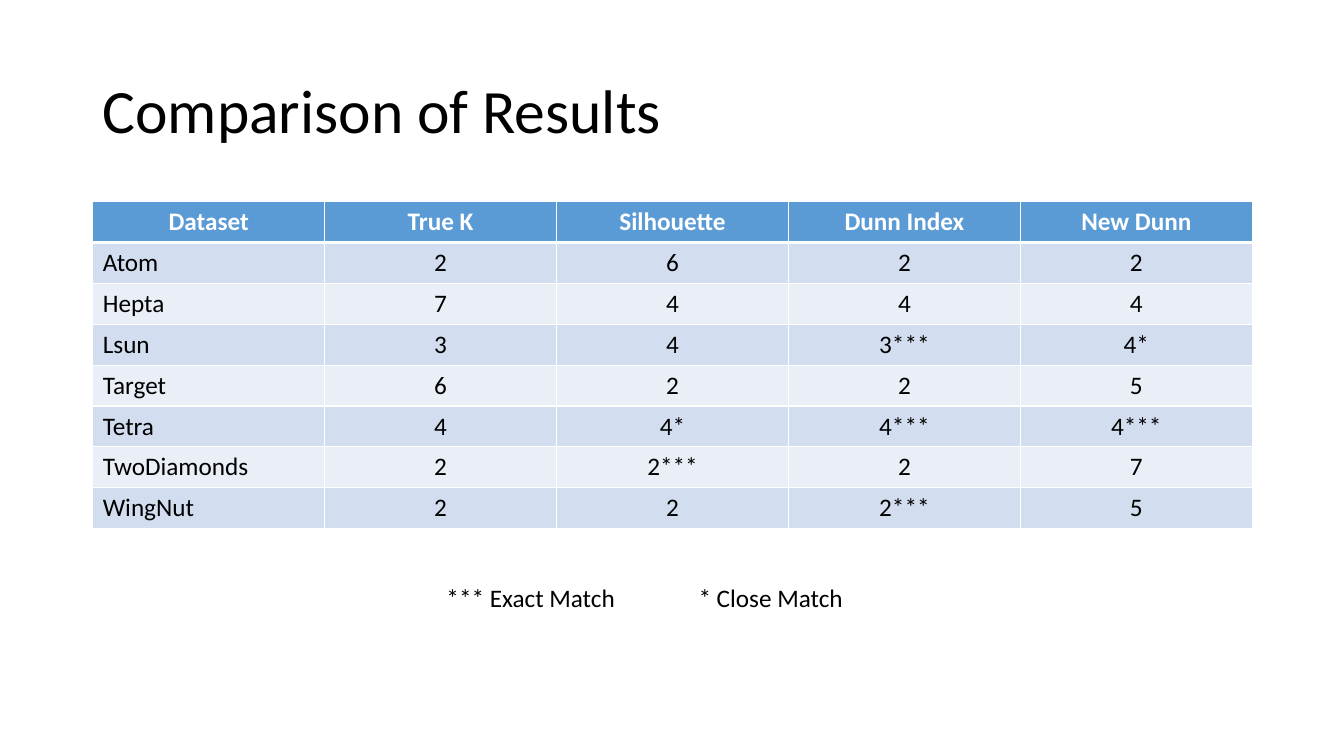
"""Build a slide that compares cluster counts across datasets."""
import dataclasses

import lxml.etree
import pptx
import pptx.dml.color
import pptx.enum.text
import pptx.oxml.ns
import pptx.table
import pptx.text.text
import pptx.util

Inches = pptx.util.Inches
Align = pptx.enum.text.PP_ALIGN
Anchor = pptx.enum.text.MSO_ANCHOR
Fit = pptx.enum.text.MSO_AUTO_SIZE

FONT = "Calibri"
BLACK, WHITE = "000000", "FFFFFF"
BLUE, DARK, LIGHT = "5B9BD5", "D2DEEF", "EAEFF7"
HEAD = ["Dataset", "True K", "Silhouette", "Dunn Index", "New Dunn"]


@dataclasses.dataclass
class Result:
    name: str
    true: str
    sil: str
    dunn: str
    new: str


@dataclasses.dataclass
class Label:
    text: str
    left: float
    top: float
    width: float
    height: float
    size: float
    wrap: bool
    fit: Fit
    anchor: Anchor
    space: float


RESULTS = [
    Result("Atom", "2", "6", "2", "2"),
    Result("Hepta", "7", "4", "4", "4"),
    Result("Lsun", "3", "4", "3***", "4*"),
    Result("Target", "6", "2", "2", "5"),
    Result("Tetra", "4", "4*", "4***", "4***"),
    Result("TwoDiamonds", "2", "2***", "2", "7"),
    Result("WingNut", "2", "2", "2***", "5"),
]
LABELS = [
    Label("Comparison of Results", 0.92, 0.4, 11.5, 1.45, 44, True, Fit.NONE, Anchor.MIDDLE, 0.9),
    Label("*** Exact Match\t\t* Close Match", 4.33, 5.73, 4.67, 0.4, 18, False,
          Fit.SHAPE_TO_FIT_TEXT, Anchor.TOP, 1.0),
]


def color(code: str) -> pptx.dml.color.RGBColor:
    return pptx.dml.color.RGBColor.from_string(code)


def write(para: pptx.text.text._Paragraph, text: str, size: float,
          tint: str = BLACK, bold: bool = False) -> None:
    run = para.add_run()
    run.text = text
    run.font.name = FONT
    run.font.size = pptx.util.Pt(size)
    run.font.bold = bold
    run.font.color.rgb = color(tint)


def border(cell: pptx.table._Cell, side: str, width: float) -> None:
    name = pptx.oxml.ns.qn
    props = cell._tc.get_or_add_tcPr()
    line = lxml.etree.SubElement(props, name(f"a:ln{side}"), w=str(pptx.util.Pt(width)))
    fill = lxml.etree.SubElement(line, name("a:solidFill"))
    lxml.etree.SubElement(fill, name("a:srgbClr"), val=WHITE)


def draw_label(slide: pptx.slide.Slide, label: Label) -> None:
    box = slide.shapes.add_textbox(Inches(label.left), Inches(label.top),
                                   Inches(label.width), Inches(label.height))
    frame = box.text_frame
    frame.word_wrap = label.wrap
    frame.auto_size = label.fit
    frame.vertical_anchor = label.anchor
    para = frame.paragraphs[0]
    para.line_spacing = label.space
    write(para, label.text, label.size)


def draw_table(slide: pptx.slide.Slide) -> None:
    rows = [HEAD] + [list(dataclasses.astuple(item)) for item in RESULTS]
    table = slide.shapes.add_table(len(rows), len(HEAD), Inches(0.92), Inches(2),
                                   Inches(11.5), Inches(3.24)).table
    for i, row in enumerate(rows):
        head = i == 0
        shade = BLUE if head else DARK if i % 2 else LIGHT
        for j, text in enumerate(row):
            cell = table.cell(i, j)
            for side in "LRTB":
                thick = (i, side) in ((0, "B"), (1, "T"))
                border(cell, side, 3 if thick else 1)
            cell.fill.solid()
            cell.fill.fore_color.rgb = color(shade)
            para = cell.text_frame.paragraphs[0]
            para.alignment = Align.CENTER if head or j else Align.LEFT
            write(para, text, 18, WHITE if head else BLACK, head)


def main() -> None:
    deck = pptx.Presentation()
    deck.slide_width = Inches(13.33)
    deck.slide_height = Inches(7.5)
    slide = deck.slides.add_slide(deck.slide_layouts[6])
    draw_table(slide)
    for label in LABELS:
        draw_label(slide, label)
    deck.save("out.pptx")


if __name__ == "__main__":
    main()
